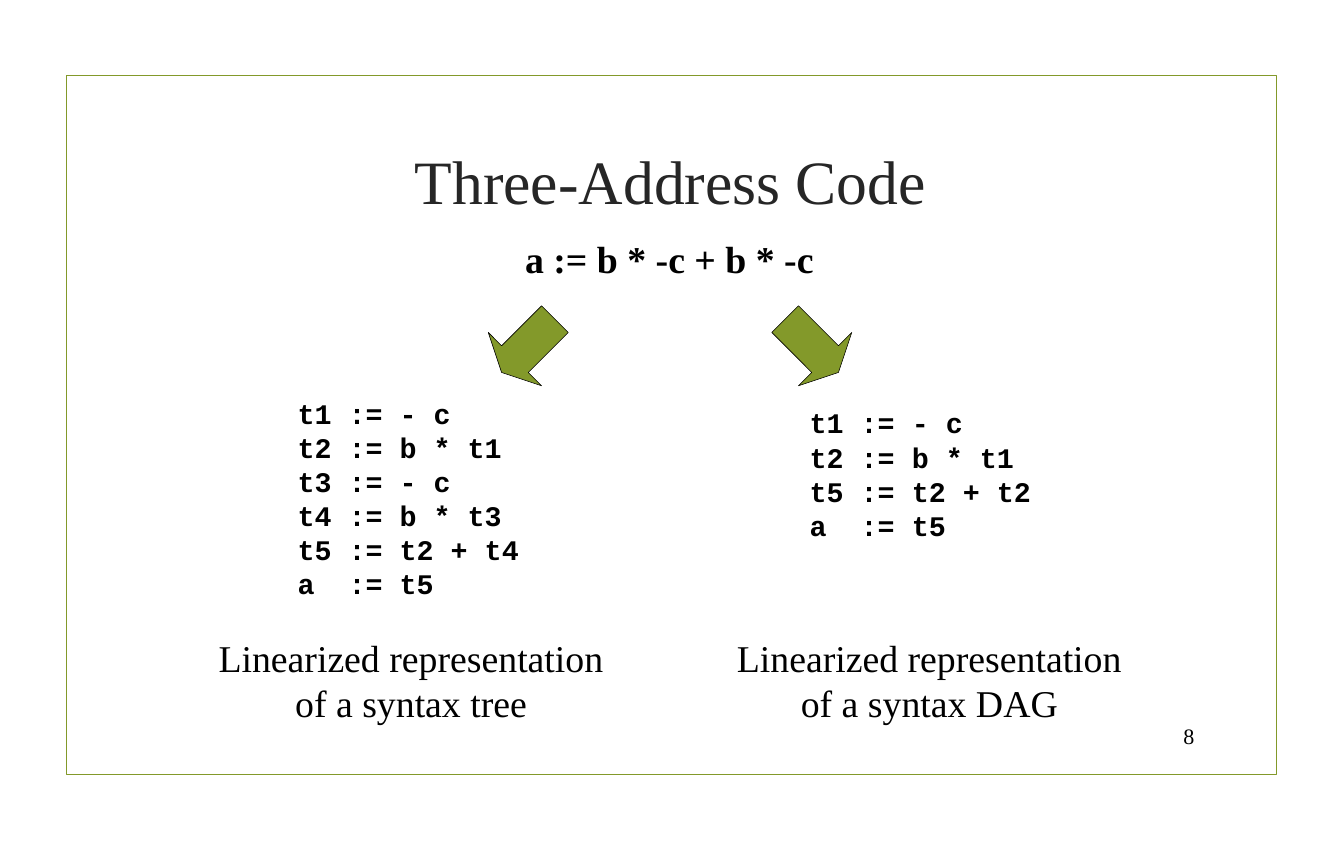
"""Build the slide on three-address code."""
from pptx import Presentation
from pptx import util as u
from pptx.dml.color import RGBColor
from pptx.enum import shapes, text

BLACK = RGBColor(0x00, 0x00, 0x00)
DARK = RGBColor(0x26, 0x26, 0x26)
GREEN = RGBColor(0x83, 0x99, 0x2A)
SERIF = "Times New Roman"
MONO = "Courier New"
LEFT, CENTER, RIGHT = (text.PP_ALIGN.LEFT, text.PP_ALIGN.CENTER,
                       text.PP_ALIGN.RIGHT)

TREE_CODE = """t1 := - c
t2 := b * t1
t3 := - c
t4 := b * t3
t5 := t2 + t4
a  := t5"""
DAG_CODE = """t1 := - c
t2 := b * t1
t5 := t2 + t2
a  := t5"""


def write(tf, content, size=48, font=SERIF, color=BLACK, bold=False,
          align=LEFT, anchor=text.MSO_ANCHOR.TOP, wrap=False):
    tf.word_wrap = wrap
    tf.vertical_anchor = anchor
    p = tf.paragraphs[0]
    p.text = content
    p.alignment = align
    for r in p.runs:
        r.font.name = font
        r.font.size = u.Pt(size)
        r.font.bold = bold
        r.font.color.rgb = color


class Deck:
    def __init__(self, prs):
        self.s = prs.slides.add_slide(prs.slide_layouts[5])

    def title(self, content, *box):
        sp = self.s.shapes.title
        sp.left, sp.top, sp.width, sp.height = map(u.Inches, box)
        write(sp.text_frame, content, size=78.2, color=DARK, align=CENTER,
              anchor=text.MSO_ANCHOR.MIDDLE, wrap=True)

    def text(self, content, *box, **style):
        sp = self.s.shapes.add_textbox(*map(u.Inches, box))
        write(sp.text_frame, content, **style)

    def shape(self, kind, *box, line, width):
        sp = self.s.shapes.add_shape(kind, *map(u.Inches, box))
        sp.shadow.inherit = False
        sp.line.color.rgb = line
        sp.line.width = u.Pt(width)
        return sp

    def frame(self, *box):
        sp = self.shape(shapes.MSO_SHAPE.RECTANGLE, *box, line=GREEN, width=1.25)
        sp.fill.background()

    def arrow(self, left, top, size, angle):
        sp = self.shape(shapes.MSO_SHAPE.RIGHT_ARROW, left, top, size, size,
                        line=BLACK, width=0.75)
        sp.fill.solid()
        sp.fill.fore_color.rgb = GREEN
        sp.adjustments[0] = 0.5
        sp.adjustments[1] = 0.25
        sp.rotation = angle

    def branch(self, code, code_box, angle, arrow_left, caption, caption_left):
        self.arrow(arrow_left, 5.43, 1.33, angle)
        self.text(code, *code_box, size=36, font=MONO, bold=True)
        self.text(caption, caption_left, 11.13, 7.06, 1.72, align=CENTER)


def main():
    prs = Presentation()
    prs.slide_width = u.Inches(23.7)
    prs.slide_height = u.Inches(15)
    deck = Deck(prs)
    deck.frame(1.18, 1.33, 21.33, 12.33)
    deck.title("Three-Address Code", 2.49, 1.75, 18.67, 2.85)
    deck.text("a := b * -c + b * -c", 9.16, 4.1, 5.35, 0.91, bold=True)
    deck.branch(TREE_CODE, (5.15, 6.93, 4.14, 3.74), 135, 8.65,
                "Linearized representation\nof a syntax tree", 3.72)
    deck.branch(DAG_CODE, (14.18, 7.1, 4.14, 2.52), 45, 13.65,
                "Linearized representation\nof a syntax DAG", 12.86)
    deck.text("8", 20.1, 12.66, 1.06, 0.61, size=28, align=RIGHT,
              anchor=text.MSO_ANCHOR.MIDDLE, wrap=True)
    prs.save("out.pptx")


if __name__ == "__main__":
    main()
